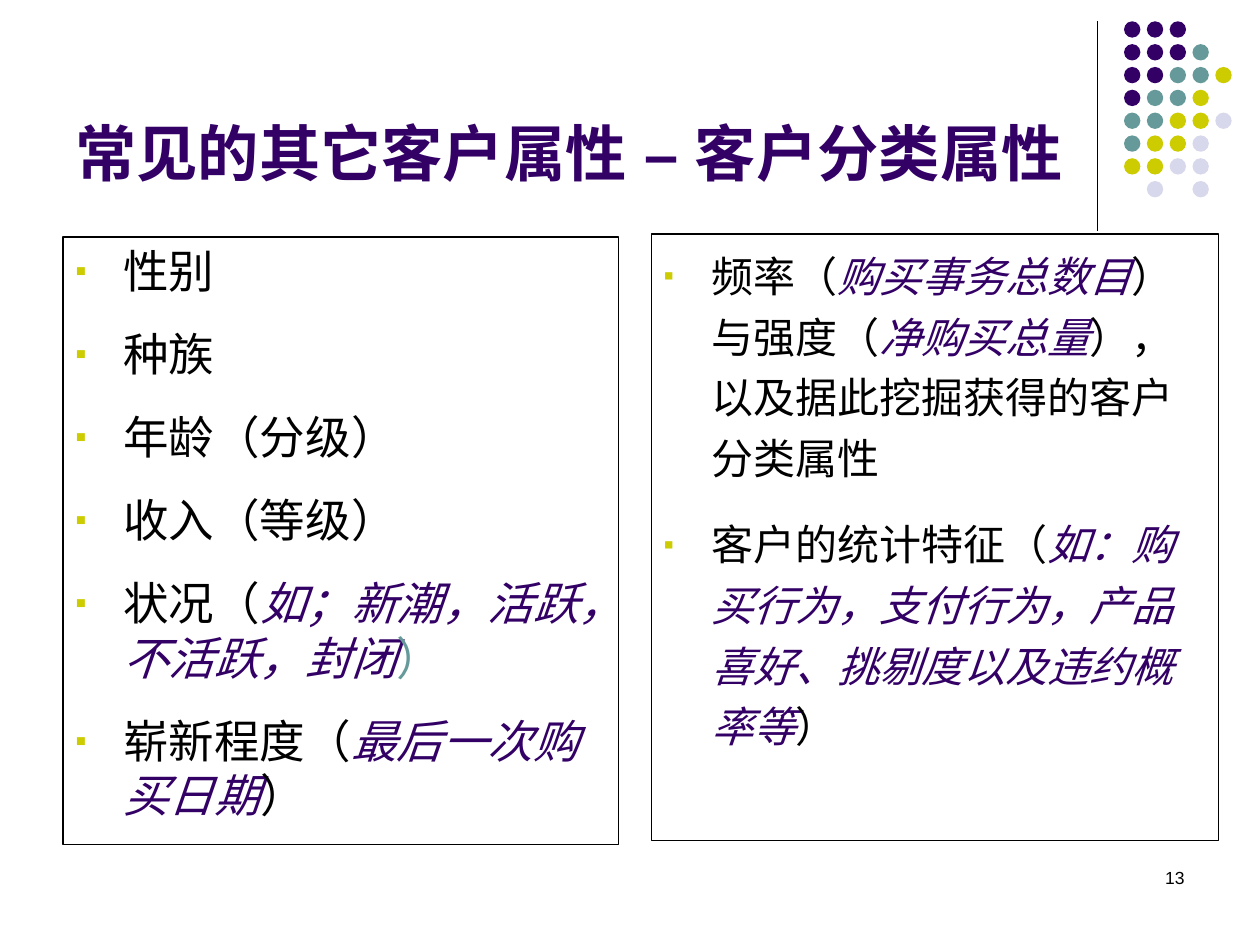
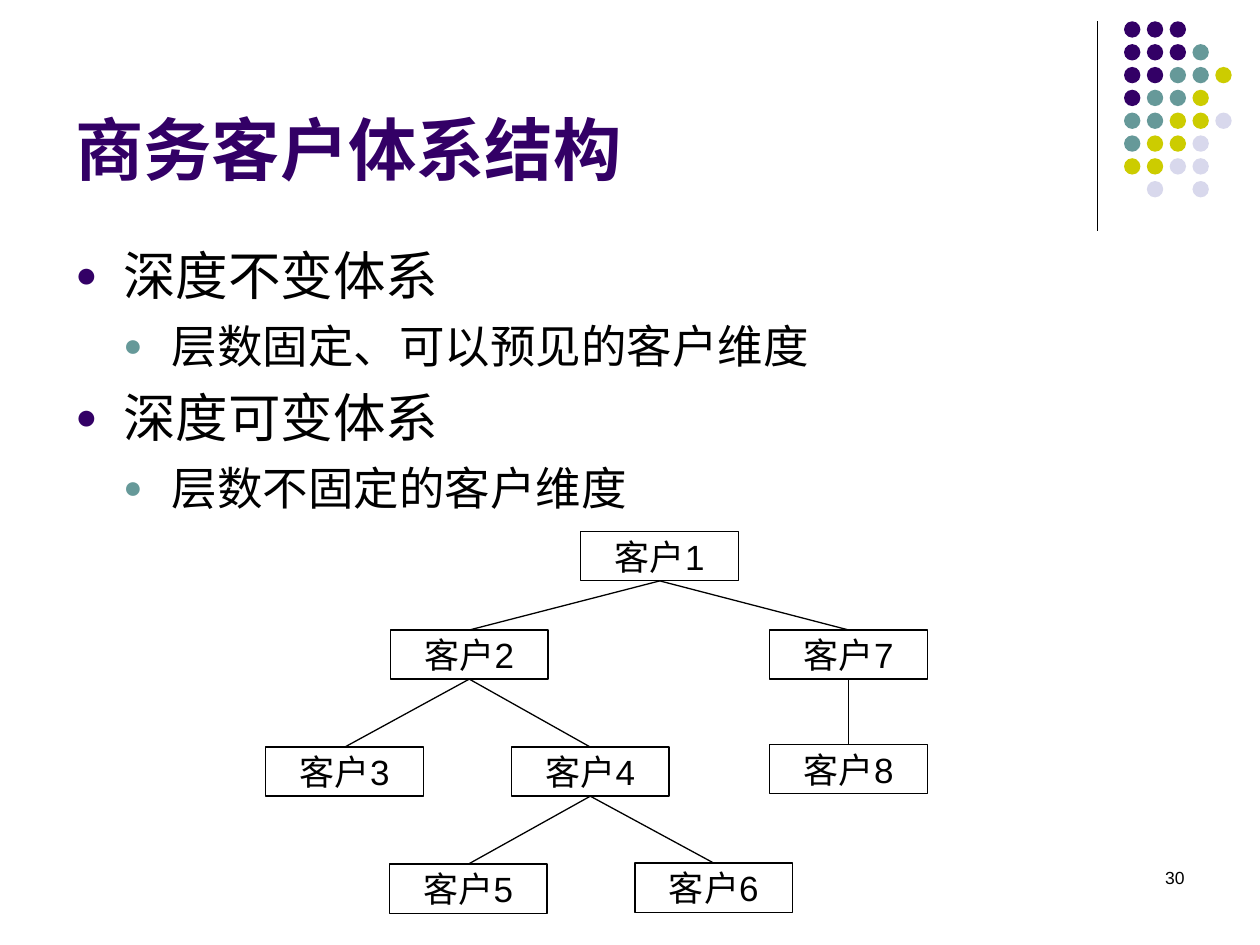
import pptx
import pptx.dml.color
import pptx.enum.lang
import pptx.enum.shapes
import pptx.enum.text
import pptx.oxml.ns
import pptx.util
from lxml import etree

Cm = pptx.util.Cm
Pt = pptx.util.Pt
Shape = pptx.enum.shapes.MSO_SHAPE
Align = pptx.enum.text.PP_ALIGN
Anchor = pptx.enum.text.MSO_ANCHOR

FONT = "Arial"
BLACK = "000000"
PURPLE = "330066"
TEAL = "669999"
YELLOW = "CCCC00"
LILAC = "D8D8EC"

DOT_ROWS = ["PPP", "PPPT", "PPTTY", "PTTY", "TTYYL", "TYYL", "YYLL", " L L"]
DOT_COLORS = {"P": PURPLE, "T": TEAL, "Y": YELLOW, "L": LILAC}
DOT_PITCH = 0.46
DOT_SIZE = 0.33
LINE_RATIO = 1.2
INDENT = 0.97

ATTRIBUTES = [
    [("性别", BLACK)],
    [("种族", BLACK)],
    [("年龄（分级）", BLACK)],
    [("收入（等级）", BLACK)],
    [("状况（", BLACK), ("如；新潮，活跃，不活跃，封闭", PURPLE), ("）", TEAL)],
    [("崭新程度（", BLACK), ("最后一次购买日期", PURPLE), ("）", BLACK)],
]
BEHAVIOURS = [
    [("频率（", BLACK), ("购买事务总数目", PURPLE), ("）与强度（", BLACK),
     ("净购买总量", PURPLE), ("），以及据此挖掘获得的客户分类属性", BLACK)],
    [("客户的统计特征（", BLACK),
     ("如：购买行为，支付行为，产品喜好、挑剔度以及违约概率等", PURPLE),
     ("）", BLACK)],
]
HIERARCHIES = [
    (0, "深度不变体系"),
    (1, "层数固定、可以预见的客户维度"),
    (0, "深度可变体系"),
    (1, "层数不固定的客户维度"),
]
LEVEL_STYLES = [(30, 7.5, PURPLE), (26, 6.5, TEAL)]

CUSTOMERS = {
    1: (11.71, 10.72),
    2: (7.87, 12.7),
    3: (5.36, 15.06),
    4: (10.31, 15.06),
    5: (7.85, 17.42),
    6: (12.8, 17.4),
    7: (15.52, 12.7),
    8: (15.52, 15.01),
}
PARENT_OF = {2: 1, 7: 1, 3: 2, 4: 2, 5: 4, 6: 4, 8: 7}


def color(value):
    return pptx.dml.color.RGBColor.from_string(value)


def add_xml(parent, tag, **attributes):
    return etree.SubElement(parent, pptx.oxml.ns.qn(tag), attributes)


def style_line(line, value=BLACK):
    line.color.rgb = color(value)
    line.width = Pt(0.75)


def finish_connector(line):
    style_line(line.line)
    add_xml(line._element.spPr, "a:effectLst")


def add_span(para, text, size, value=BLACK, bold=False, italic=False):
    span = para.add_run()
    span.text = text
    font = span.font
    font.name = FONT
    font.size = Pt(size)
    font.bold = bold
    font.italic = italic
    font.color.rgb = color(value)
    font.language_id = pptx.enum.lang.MSO_LANGUAGE_ID.SIMPLIFIED_CHINESE
    add_xml(span._r.get_or_add_rPr(), "a:ea", typeface=FONT)


def add_para(frame, size, first, before=0, ratio=LINE_RATIO, align=Align.LEFT):
    para = frame.paragraphs[0] if first else frame.add_paragraph()
    para.alignment = align
    para.line_spacing = Pt(round(size * ratio, 1))
    para.space_before = Pt(0 if first else before)
    return para


def add_bullet(para, symbol, value, level=0):
    properties = para._p.get_or_add_pPr()
    properties.set("marL", str(Cm(INDENT * (level + 1))))
    properties.set("indent", str(-Cm(INDENT)))
    add_xml(add_xml(properties, "a:buClr"), "a:srgbClr", val=value)
    add_xml(properties, "a:buSzPct", val="70000")
    add_xml(properties, "a:buFont", typeface=FONT)
    add_xml(properties, "a:buChar", char=symbol)
    para.level = level


def add_text_box(page, left, top, width, height, anchor=Anchor.TOP):
    box = page.shapes.add_textbox(Cm(left), Cm(top), Cm(width), Cm(height))
    box.text_frame.word_wrap = True
    box.text_frame.vertical_anchor = anchor
    return box.text_frame


def add_frame(page, left, top, width, height, anchor=Anchor.TOP):
    box = page.shapes.add_shape(
        Shape.RECTANGLE, Cm(left), Cm(top), Cm(width), Cm(height))
    box.shadow.inherit = False
    box.fill.background()
    style_line(box.line)
    box.text_frame.word_wrap = True
    box.text_frame.vertical_anchor = anchor
    return box


def add_dots(page):
    for row, marks in enumerate(DOT_ROWS):
        for column, mark in enumerate(marks):
            if mark == " ":
                continue
            dot = page.shapes.add_shape(
                Shape.OVAL,
                Cm(22.66 + column * DOT_PITCH), Cm(0.43 + row * DOT_PITCH),
                Cm(DOT_SIZE), Cm(DOT_SIZE))
            dot.shadow.inherit = False
            dot.fill.solid()
            dot.fill.fore_color.rgb = color(DOT_COLORS[mark])
            dot.line.fill.background()


def add_page(deck, title, title_size, number):
    page = deck.slides.add_slide(deck.slide_layouts[6])
    rule = page.shapes.add_connector(
        pptx.enum.shapes.MSO_CONNECTOR.STRAIGHT,
        Cm(22.12), Cm(0.43), Cm(22.12), Cm(4.65))
    finish_connector(rule)
    add_dots(page)
    frame = add_text_box(page, 18.21, 17.35, 5.92, 1.27)
    add_span(add_para(frame, 10, True, align=Align.RIGHT), str(number), 10)
    frame = add_text_box(page, 1.27, 0.33, 20.96, 3.61, Anchor.BOTTOM)
    para = add_para(frame, title_size, True)
    add_span(para, title, title_size, PURPLE, bold=True)
    return page


def add_attribute_frame(page, place, items, size, before, ratio):
    frame = add_frame(page, *place).text_frame
    for index, spans in enumerate(items):
        para = add_para(frame, size, index == 0, before, ratio)
        add_bullet(para, "▪", YELLOW)
        for text, value in spans:
            add_span(para, text, size, value, italic=value == PURPLE)


def add_hierarchy_list(page):
    frame = add_text_box(page, 1.27, 4.78, 22.86, 12.24)
    for index, (level, text) in enumerate(HIERARCHIES):
        size, before, bullet_color = LEVEL_STYLES[level]
        para = add_para(frame, size, index == 0, before)
        add_bullet(para, "●", bullet_color, level)
        add_span(para, text, size)


def add_customer_tree(page):
    boxes = {}
    for number, (left, top) in CUSTOMERS.items():
        box = add_frame(page, left, top, 3.18, 0.99, Anchor.MIDDLE)
        para = add_para(box.text_frame, 20, True, align=Align.CENTER)
        add_span(para, f"客户{number}", 20)
        boxes[number] = box
    for child, parent in PARENT_OF.items():
        branch = page.shapes.add_connector(
            pptx.enum.shapes.MSO_CONNECTOR.STRAIGHT, 0, 0, 0, 0)
        branch.begin_connect(boxes[child], 0)
        branch.end_connect(boxes[parent], 2)
        finish_connector(branch)


def main():
    deck = pptx.Presentation()
    deck.slide_width = Cm(25.4)
    deck.slide_height = Cm(19.05)

    page = add_page(deck, "常见的其它客户属性 – 客户分类属性", 35, 13)
    add_attribute_frame(
        page, (1.27, 4.78, 11.2, 12.24), ATTRIBUTES, 26, 16.2, LINE_RATIO)
    add_attribute_frame(
        page, (13.13, 4.72, 11.43, 12.22), BEHAVIOURS, 24, 15, LINE_RATIO * 1.2)

    page = add_page(deck, "商务客户体系结构", 39, 30)
    add_hierarchy_list(page)
    add_customer_tree(page)

    deck.save("out.pptx")


if __name__ == "__main__":
    main()
